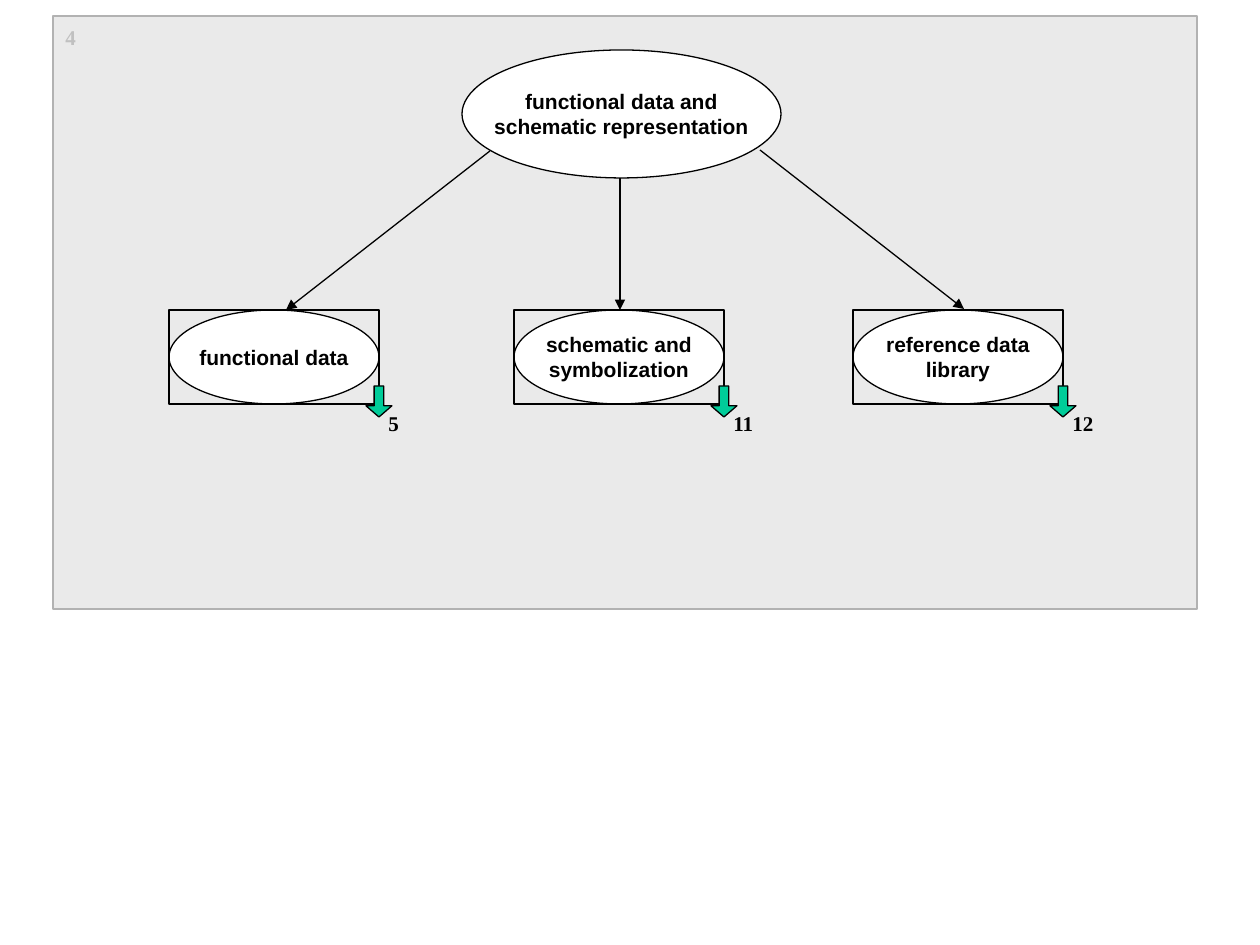
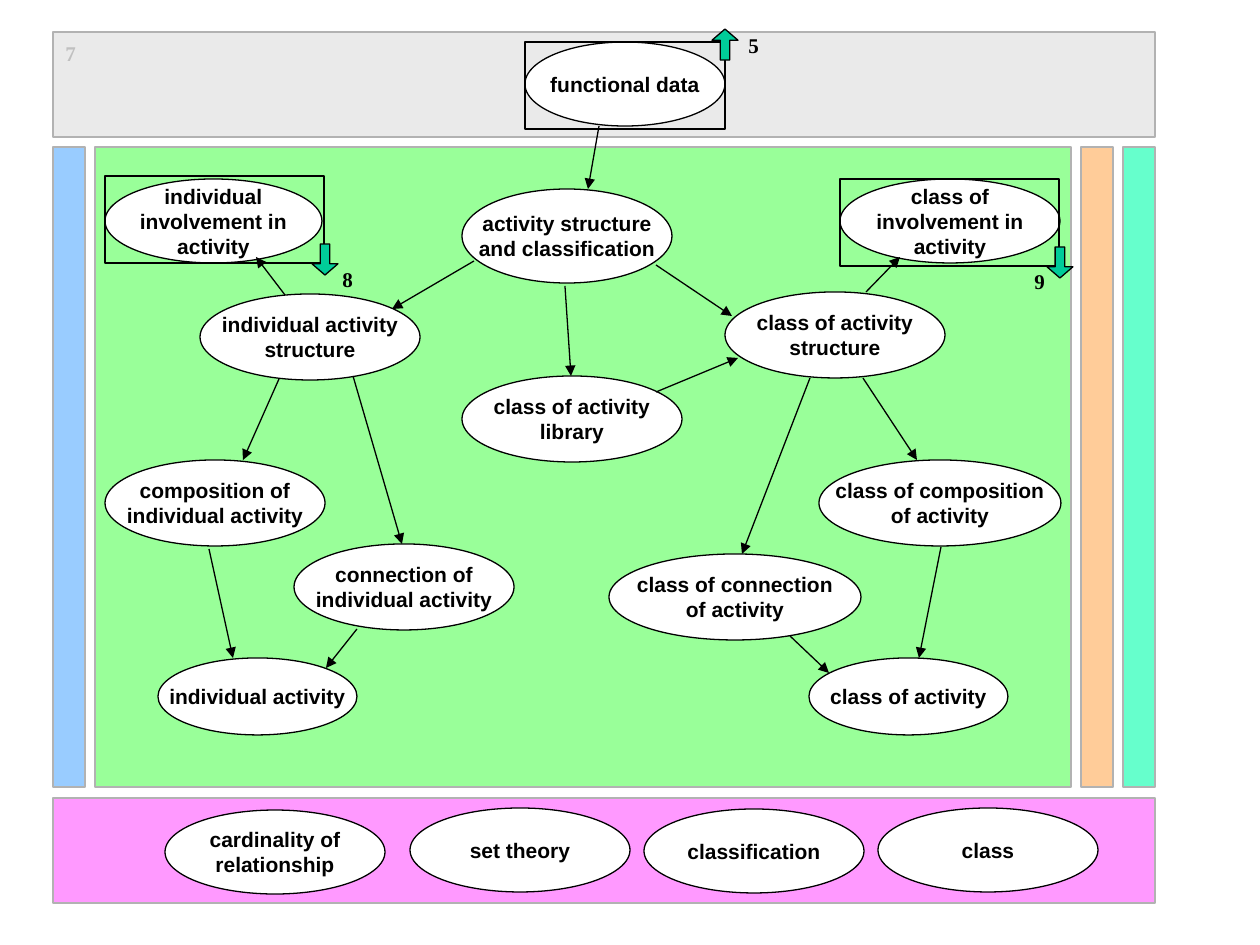
from lxml import etree
from pptx import Presentation
from pptx import util as u
from pptx.dml.color import RGBColor
from pptx.enum import shapes, text
from pptx.oxml.ns import qn

PX = 914400 / 126
BLACK = RGBColor(0x00, 0x00, 0x00)
WHITE = RGBColor(0xFF, 0xFF, 0xFF)
PALE_GREY = RGBColor(0xEA, 0xEA, 0xEA)
BORDER_GREY = RGBColor(0xB2, 0xB2, 0xB2)
NUMBER_GREY = RGBColor(0xC0, 0xC0, 0xC0)
BLUE = RGBColor(0x99, 0xCC, 0xFF)
GREEN = RGBColor(0x99, 0xFF, 0x99)
ORANGE = RGBColor(0xFF, 0xCC, 0x99)
MINT = RGBColor(0x66, 0xFF, 0xCC)
PINK = RGBColor(0xFF, 0x99, 0xFF)
TEAL = RGBColor(0x00, 0xCC, 0x99)

NODE_FONT = {"name": "Arial", "size": u.Pt(12), "bold": True}
NUMBER_FONT = {"name": "Times New Roman", "size": u.Pt(12), "bold": True}
NODE_FRAME = {"word_wrap": False, "vertical_anchor": text.MSO_ANCHOR.MIDDLE}
NUMBER_FRAME = {"word_wrap": False, "auto_size": text.MSO_AUTO_SIZE.SHAPE_TO_FIT_TEXT}
SHAPE = shapes.MSO_SHAPE


def emu(*lengths):
    return [u.Emu(round(length * PX)) for length in lengths]


def inside(box, left, top, *size):
    return (box[0] + left, box[1] + top, *size)


def set_all(target, values):
    for name, value in values.items():
        setattr(target, name, value)


def write(shape, words, frame_format, font_format, colour, align):
    frame = shape.text_frame
    frame.text = words
    set_all(frame, frame_format)
    for para in frame.paragraphs:
        para.alignment = align
        for span in para.runs:
            set_all(span.font, font_format)
            span.font.color.rgb = colour


def outline(line, colour=BLACK):
    line.color.rgb = colour
    line.width = u.Pt(0.75)


def add_figure(page, kind, box, fill=None, border=BLACK):
    shape = page.shapes.add_shape(kind, *emu(*box))
    shape.shadow.inherit = False
    if fill is None:
        shape.fill.background()
    else:
        shape.fill.solid()
        shape.fill.fore_color.rgb = fill
    outline(shape.line, border)
    return shape


def add_panel(page, box, fill):
    add_figure(page, SHAPE.RECTANGLE, box, fill, BORDER_GREY)


def add_node(page, box, words):
    ellipse = add_figure(page, SHAPE.OVAL, box, WHITE)
    write(ellipse, words, NODE_FRAME, NODE_FONT, BLACK, text.PP_ALIGN.CENTER)


def add_frame(page, box):
    add_figure(page, SHAPE.RECTANGLE, box)


def add_arrow(page, start, end):
    arrow = page.shapes.add_connector(shapes.MSO_CONNECTOR.STRAIGHT, *emu(*start, *end))
    outline(arrow.line)
    etree.SubElement(arrow.line._get_or_add_ln(), qn("a:tailEnd"), type="triangle")
    etree.SubElement(arrow._element.spPr, qn("a:effectLst"))


def add_number(page, left, top, number, colour=BLACK):
    width = 24 + 12 * len(number)
    label = page.shapes.add_textbox(*emu(left, top, width, 38))
    write(label, number, NUMBER_FRAME, NUMBER_FONT, colour, text.PP_ALIGN.LEFT)


def add_page_link(page, corner, number, label_offset, upward=False):
    arrow = add_figure(page, SHAPE.DOWN_ARROW, (*corner, 26, 31), TEAL)
    arrow.adjustments[0] = 0.37
    arrow.adjustments[1] = 0.43
    arrow.rotation = 180 if upward else 0
    add_number(page, *inside(corner, *label_offset), number)


def add_numbered_panel(page, box, number):
    add_panel(page, box, PALE_GREY)
    add_number(page, *inside(box, 0, 2), number, NUMBER_GREY)


def build_overview(page, box):
    add_numbered_panel(page, box, "4")
    add_node(page, inside(box, 409, 34, 319, 128),
             "functional data and\nschematic representation")
    branches = [
        (116, "functional data", "5", (437, 135), (233, 294)),
        (461, "schematic and\nsymbolization", "11", (567, 162), (567, 294)),
        (800, "reference data\nlibrary", "12", (707, 134), (911, 293)),
    ]
    for left, words, number, start, end in branches:
        child = inside(box, left, 294, 210, 94)
        add_node(page, child, words)
        add_frame(page, child)
        add_page_link(page, inside(child, 197, 76), number, (10, 18))
        add_arrow(page, inside(box, *start), inside(box, *end))


def build_header(page, box):
    add_numbered_panel(page, box, "7")
    add_node(page, inside(box, 472, 10, 200, 84), "functional data")
    add_frame(page, inside(box, 472, 10, 200, 87))
    add_page_link(page, inside(box, 659, -3), "5", (24, -3), upward=True)
    add_arrow(page, inside(box, 546, 94), inside(box, 535, 157))


def build_activity_map(page, box):
    add_panel(page, box, GREEN)
    nodes = [
        (367, 42, 210, 94, "activity structure\nand classification"),
        (10, 32, 217, 84, "individual\ninvolvement in\nactivity"),
        (745, 32, 220, 84, "class of\ninvolvement in\nactivity"),
        (105, 147, 220, 86, "individual activity\nstructure"),
        (630, 145, 220, 86, "class of activity\nstructure"),
        (367, 229, 220, 86, "class of activity\nlibrary"),
        (10, 313, 220, 86, "composition of\nindividual activity"),
        (724, 313, 242, 86, "class of composition\nof activity"),
        (199, 397, 220, 86, "connection of\nindividual activity"),
        (514, 407, 252, 86, "class of connection\nof activity"),
        (63, 511, 199, 77, "individual activity"),
        (714, 511, 199, 77, "class of activity"),
    ]
    for *place, words in nodes:
        add_node(page, inside(box, *place), words)
    arrows = [
        ((379, 114), (297, 162)),
        ((561, 118), (637, 169)),
        ((470, 139), (476, 229)),
        ((561, 245), (643, 211)),
        ((715, 231), (647, 407)),
        ((768, 231), (822, 313)),
        ((184, 232), (148, 313)),
        ((258, 229), (307, 397)),
        ((114, 402), (138, 511)),
        ((262, 482), (231, 521)),
        ((846, 400), (824, 511)),
        ((695, 489), (734, 526)),
        ((190, 148), (161, 110)),
        ((771, 145), (805, 110)),
    ]
    for start, end in arrows:
        add_arrow(page, inside(box, *start), inside(box, *end))
    links = [(10, 29, "8", (18, 16)), (745, 32, "9", (-25, 15))]
    for left, top, number, label_offset in links:
        frame = inside(box, left, top, 219, 87)
        add_frame(page, frame)
        add_page_link(page, inside(frame, 207, 68), number, label_offset)


def build_foundation(page, box):
    add_panel(page, box, PINK)
    nodes = [
        (112, 12, "cardinality of\nrelationship"),
        (357, 10, "set theory"),
        (591, 11, "classification"),
        (825, 10, "class"),
    ]
    for left, top, words in nodes:
        add_node(page, inside(box, left, top, 220, 84), words)


def build_activity_page(page):
    for left, colour in [(53, BLUE), (1081, ORANGE), (1123, MINT)]:
        add_panel(page, (left, 147, 32, 640), colour)
    build_activity_map(page, (95, 147, 976, 640))
    build_header(page, (53, 32, 1102, 105))
    build_foundation(page, (53, 798, 1102, 105))


def main():
    deck = Presentation()
    deck.slide_width, deck.slide_height = emu(1260, 945)
    blank = deck.slide_layouts[6]
    build_overview(deck.slides.add_slide(blank), (53, 16, 1144, 593))
    build_activity_page(deck.slides.add_slide(blank))
    deck.save("out.pptx")


if __name__ == "__main__":
    main()
